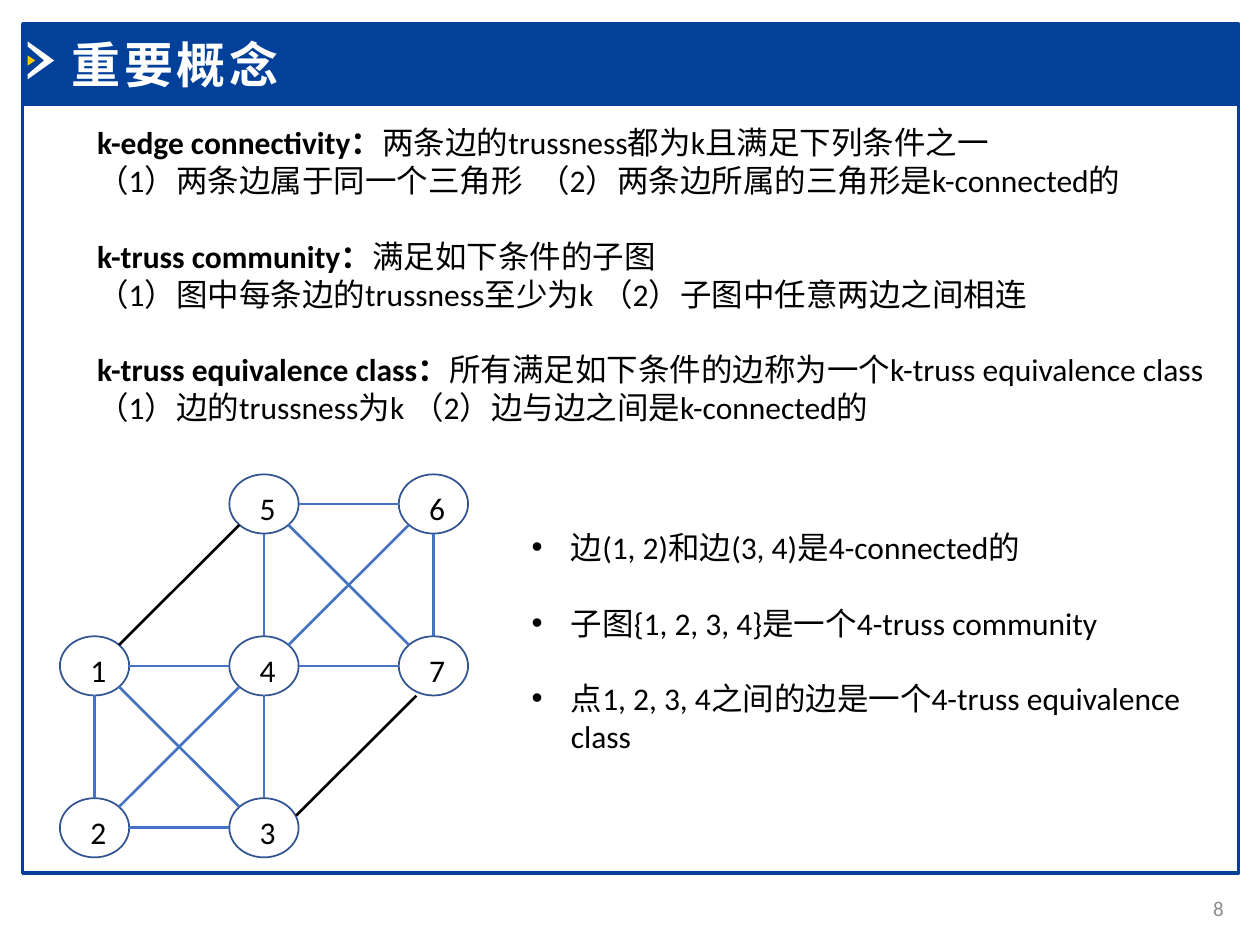
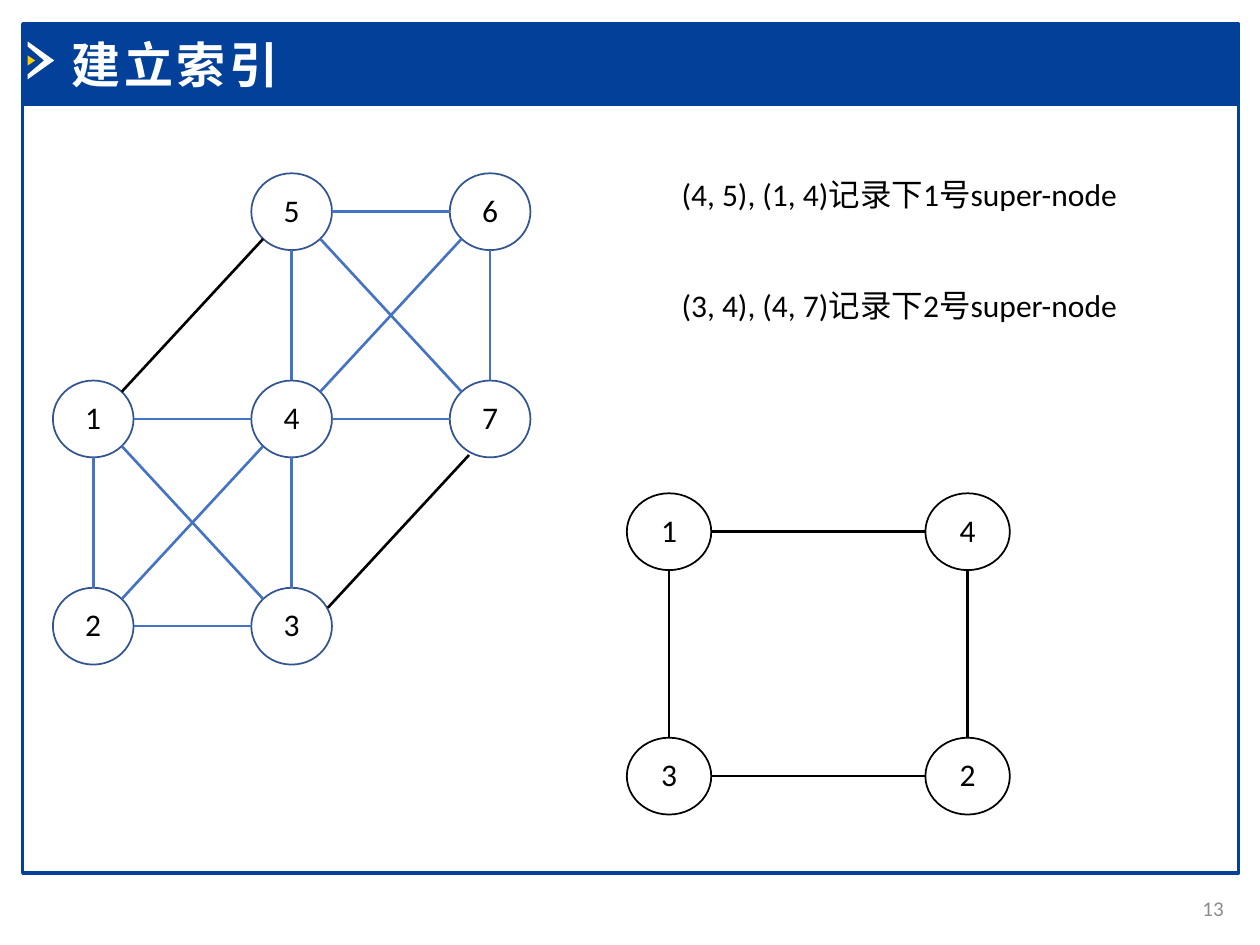
import pptx
import pptx.dml.color
import pptx.enum.shapes
import pptx.enum.text
import pptx.oxml
import pptx.oxml.ns
import pptx.util
from lxml import etree

Inches = pptx.util.Inches
Pt = pptx.util.Pt
ALIGN = pptx.enum.text.PP_ALIGN
ANCHOR = pptx.enum.text.MSO_ANCHOR
SHAPE = pptx.enum.shapes.MSO_SHAPE

# ---- Shared look ----
WIDTH, HEIGHT = 10, 7.5
NAVY, WHITE, BLACK, GRAY, GOLD = "02409A", "FFFFFF", "000000", "8C8C8C", "FFCC00"
NODE_BLUE, EDGE_BLUE = "325491", "4472C4"
FONT = "Calibri"
BLANK_LINE = 21.6  # points between groups of lines
BULLET_INDENT = 0.31

FRAME = (0.18, 0.83, 9.65, 6.1)
BAND = (0.18, 0.19, 9.65, 0.64)
TITLE_AREA = (0.47, 0.22, 4, 0.57)
NUMBER_AREA = (9.22, 7.01, 0.59, 0.4)
CHEVRON = [(0.22, 0.33), (0.22, 0.37), (0.35, 0.48), (0.22, 0.59), (0.22, 0.63), (0.43, 0.48)]
CHEVRON_TIP = [(0.22, 0.44), (0.22, 0.52), (0.28, 0.48)]

# ---- Content: node -> (column, row), edges as node pairs ----
TRUSS_NODES = {"1": (0, 1), "2": (0, 2), "3": (1, 2), "4": (1, 1),
               "5": (1, 0), "6": (2, 0), "7": (2, 1)}
TRUSS_EDGES = ["54", "43", "67", "56", "47", "12", "14", "23", "13", "57", "42", "64"]
BRIDGES = {"51": (0, 0), "73": (0.06, 0.07)}  # edge -> shift from the node rims
SUPER_NODES = {"1": (0, 0), "2": (1, 1), "3": (0, 1), "4": (1, 0)}
SUPER_EDGES = ["13", "32", "14", "42"]

# term, definition, conditions, tab position of the second condition
CONCEPTS = [
    ("k-edge connectivity：", "两条边的trussness都为k且满足下列条件之一",
     ("（1）两条边属于同一个三角形", "（2）两条边所属的三角形是k-connected的"), 3.78),
    ("k-truss community：", "满足如下条件的子图",
     ("（1）图中每条边的trussness至少为k", "（2）子图中任意两边之间相连"), 4.5),
    ("k-truss equivalence class：", "所有满足如下条件的边称为一个k-truss equivalence class",
     ("（1）边的trussness为k", "（2）边与边之间是k-connected的"), 3.01),
]
EXAMPLES = [
    "边(1, 2)和边(3, 4)是4-connected的",
    "子图{1, 2, 3, 4}是一个4-truss community",
    "点1, 2, 3, 4之间的边是一个4-truss equivalence class",
]
RECORDS = ["(4, 5), (1, 4)记录下1号super-node", "(3, 4), (4, 7)记录下2号super-node"]


# ---- Helpers ----
def color(code):
    return pptx.dml.color.RGBColor.from_string(code)


def place(box, area):
    box.left, box.top, box.width, box.height = map(Inches, area)


def paint(shape, fill=None, line=None, width=1):
    shape.shadow.inherit = False
    if fill:
        shape.fill.solid()
        shape.fill.fore_color.rgb = color(fill)
    else:
        shape.fill.background()
    if line:
        shape.line.color.rgb = color(line)
        shape.line.width = Pt(width)
    else:
        shape.line.fill.background()


def write(frame, text, size=18, ink=BLACK, bold=False, spacing=0, align=ALIGN.LEFT,
          before=0, bullet=False, tab=None, lead=""):
    """Add one paragraph; lead is a bold opening run."""
    first = not frame.text
    para = frame.paragraphs[0] if first else frame.add_paragraph()
    properties = para._p.get_or_add_pPr()
    indent = Inches(BULLET_INDENT) if bullet else 0
    properties.set("marL", str(indent))
    properties.set("indent", str(-indent))
    mark = etree.SubElement(properties, pptx.oxml.ns.qn("a:buChar" if bullet else "a:buNone"))
    if bullet:
        mark.set("char", "•")
    if tab:
        stops = etree.SubElement(properties, pptx.oxml.ns.qn("a:tabLst"))
        etree.SubElement(stops, pptx.oxml.ns.qn("a:tab"), pos=str(Inches(tab)), algn="l")
    para.alignment = align
    para.space_before = Pt(0 if first else before)
    for words, heavy in ((lead, True), (text, bold)):
        if not words:
            continue
        span = para.add_run()
        span.text = words
        span.font.name, span.font.size, span.font.bold = FONT, Pt(size), heavy
        span.font.color.rgb = color(ink)
        if spacing:
            span._r.get_or_add_rPr().set("spc", str(spacing * 100))


def open_frame(box, anchor=ANCHOR.TOP):
    frame = box.text_frame
    frame.word_wrap = True
    frame.auto_size = pptx.enum.text.MSO_AUTO_SIZE.NONE
    frame.vertical_anchor = anchor
    return frame


def fill_placeholder(box, area):
    place(box, area)
    return open_frame(box)


def add_outline(page, points, fill):
    corners = [(Inches(x), Inches(y)) for x, y in points]
    builder = page.shapes.build_freeform(*corners[0])
    builder.add_line_segments(corners[1:], close=True)
    shape = builder.convert_to_shape()
    paint(shape, fill)
    return shape


def dress_layout(page):
    """Draw the frame, title band and chevron, and keep them on the layout."""
    parts = []
    for area, fill in ((FRAME, None), (BAND, NAVY)):
        part = page.shapes.add_shape(SHAPE.RECTANGLE, *map(Inches, area))
        paint(part, fill, NAVY, 2)
        parts.append(part)
    parts.append(add_outline(page, CHEVRON, WHITE))
    parts.append(add_outline(page, CHEVRON_TIP, GOLD))
    tree = page.slide_layout.shapes.element
    for order, part in enumerate(parts):
        part.element.nvSpPr.cNvPr.set("id", str(100 + order))
        tree.append(part.element)


def add_page(deck, layout, title, number):
    page = deck.slides.add_slide(layout)
    write(fill_placeholder(page.shapes.title, TITLE_AREA), title,
          size=28, ink=WHITE, bold=True, spacing=2)
    box = page.shapes.add_textbox(*map(Inches, NUMBER_AREA))
    write(open_frame(box, ANCHOR.MIDDLE), number, size=12, ink=GRAY, align=ALIGN.RIGHT)
    return page


def add_edge(page, start, end, ink):
    edge = page.shapes.add_connector(pptx.enum.shapes.MSO_CONNECTOR.STRAIGHT,
                                     *map(Inches, start + end))
    edge.line.color.rgb = color(ink)
    edge.line.width = Pt(1.5)
    etree.SubElement(edge.element.spPr, pptx.oxml.ns.qn("a:effectLst"))


def add_graph(page, nodes, edges, origin, pitch, size, outline, ink, bridges=None, nudge=0):
    """Set nodes on a grid whose first centre is origin; edges run from rim to rim."""
    centers = {name: tuple(o + step * cell for o, step, cell in zip(origin, pitch, cells))
               for name, cells in nodes.items()}
    for name, (x, y) in centers.items():
        node = page.shapes.add_shape(SHAPE.OVAL, Inches(x - size[0] / 2), Inches(y - size[1] / 2),
                                     *map(Inches, size))
        paint(node, None, outline)
        frame = open_frame(node)
        frame.margin_left, frame.margin_top = Inches(nudge), Inches(0.05)
        frame.margin_right = frame.margin_bottom = 0
        write(frame, name, align=ALIGN.CENTER)

    def rim(name, other, shift):
        signs = [(b > a) - (b < a) for a, b in zip(nodes[name], nodes[other])]
        reach = 0.71 if all(signs) else 1
        return tuple(c + sign * reach * side / 2 + move for c, sign, side, move
                     in zip(centers[name], signs, size, shift))

    for (a, b), shift in (bridges or {}).items():
        add_edge(page, rim(a, b, shift), rim(b, a, shift), BLACK)
    for a, b in edges:
        add_edge(page, rim(a, b, (0, 0)), rim(b, a, (0, 0)), ink)


# ---- Slides ----
def build_concepts(page):
    frame = fill_placeholder(page.placeholders[1], (0.67, 0.93, 9.06, 2.82))
    for term, definition, conditions, tab in CONCEPTS:
        write(frame, definition, lead=term, before=BLANK_LINE)
        write(frame, "\t".join(conditions), tab=tab)
    add_graph(page, TRUSS_NODES, TRUSS_EDGES, (0.75, 4), (1.345, 1.285), (0.55, 0.47),
              NODE_BLUE, EDGE_BLUE, BRIDGES, nudge=0.06)
    frame = fill_placeholder(page.placeholders[2], (4.12, 4.14, 5.88, 1.92))
    for example in EXAMPLES:
        write(frame, example, bullet=True, before=BLANK_LINE)


def build_index(page):
    add_graph(page, TRUSS_NODES, TRUSS_EDGES, (0.74, 1.68), (1.575, 1.645), (0.64, 0.61),
              NODE_BLUE, EDGE_BLUE, BRIDGES)
    add_graph(page, SUPER_NODES, SUPER_EDGES, (5.31, 4.22), (2.37, 1.94), (0.67, 0.61),
              BLACK, BLACK)
    for row, record in enumerate(RECORDS):
        area = (5.31, 1.34 + 0.88 * row, 3.91, 0.4)
        write(fill_placeholder(page.placeholders[row + 1], area), record)


def main():
    deck = pptx.Presentation()
    deck.slide_width, deck.slide_height = Inches(WIDTH), Inches(HEIGHT)
    layout = deck.slide_layouts.get_by_name("Two Content")
    concepts = add_page(deck, layout, "重要概念", "8")
    dress_layout(concepts)
    build_concepts(concepts)
    build_index(add_page(deck, layout, "建立索引", "13"))
    deck.save("out.pptx")


if __name__ == "__main__":
    main()
